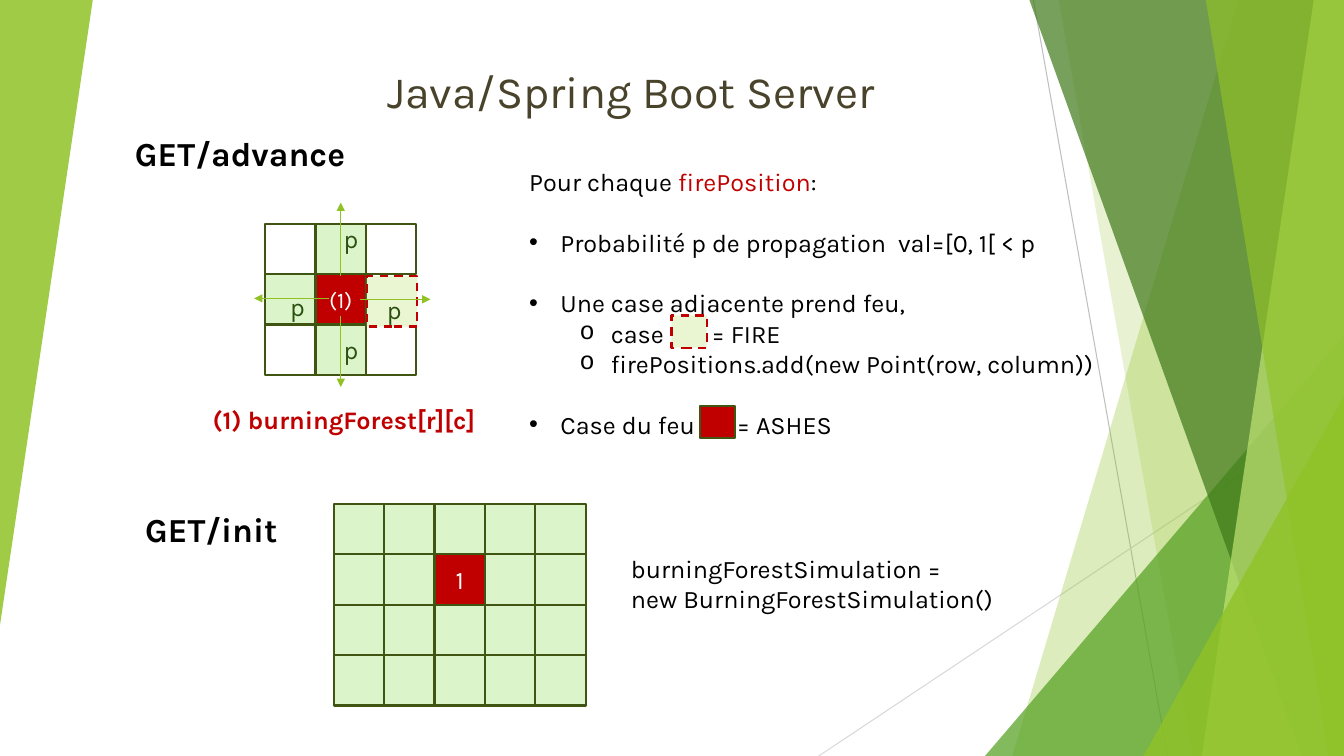
"""Build the slide about the forest fire server and its two GET routes."""
from dataclasses import dataclass

from lxml import etree
from pptx import Presentation
from pptx.dml.color import RGBColor
from pptx.enum.dml import MSO_LINE
from pptx.enum.shapes import MSO_CONNECTOR, MSO_SHAPE
from pptx.enum.text import MSO_ANCHOR, MSO_AUTO_SIZE, PP_ALIGN
from pptx.oxml.ns import qn
from pptx.util import Inches, Pt

RECTANGLE = MSO_SHAPE.RECTANGLE
TRIANGLE = MSO_SHAPE.ISOSCELES_TRIANGLE
STRAIGHT = MSO_CONNECTOR.STRAIGHT
DASH = MSO_LINE.DASH
TOP, MIDDLE = MSO_ANCHOR.TOP, MSO_ANCHOR.MIDDLE
LEFT, CENTER = PP_ALIGN.LEFT, PP_ALIGN.CENTER
NO_AUTOSIZE = MSO_AUTO_SIZE.NONE
WIDTH, HEIGHT = 13.33, 7.5
CELL = 0.5


@dataclass(frozen=True)
class Theme:
    font: str = "Karla"
    black: str = "000000"
    white: str = "FFFFFF"
    title: str = "48432A"
    fire: str = "C00000"
    tree: str = "DBF4CA"
    catching: str = "EAF6D1"
    outline: str = "3F5511"
    probability: str = "2A5010"
    lime: str = "90C226"
    leaf: str = "54A021"
    forest: str = "3F7819"
    pale: str = "C0E474"
    grey: str = "BFBFBF"
    light_grey: str = "D9D9D9"
    title_size: float = 32
    heading_size: float = 24
    body_size: float = 18
    centre_size: float = 16
    cell_line: float = 1.5


THEME = Theme()


@dataclass(frozen=True)
class Facet:
    points: tuple
    color: str
    opacity: int


@dataclass(frozen=True)
class Wedge:
    box: tuple
    color: str
    opacity: int
    rotation: int = 0


@dataclass(frozen=True)
class Line:
    start: tuple
    end: tuple
    color: str = THEME.lime
    width: float = 1
    arrow: bool = True


@dataclass(frozen=True)
class Item:
    spans: tuple
    bullet: str = ""
    indent: float = 0
    gap: float = 0
    tab: float = 0


def right_facet(top: float, bottom: float, color: str, opacity: int) -> Facet:
    """Return a facet that runs from a slanted edge to the right of the slide."""
    return Facet(((top, 0), (WIDTH, 0), (WIDTH, HEIGHT), (bottom, HEIGHT)), color, opacity)


EDGE_LINES = (
    Line((10.25, 0), (11.58, HEIGHT), THEME.grey, 0.75, False),
    Line((WIDTH, 4.03), (8.12, HEIGHT), THEME.light_grey, 0.75, False),
)
DECOR = (
    right_facet(12.28, 10.04, THEME.lime, 30),
    right_facet(10.5, 11.83, THEME.lime, 20),
    Wedge((9.77, 3.33, 3.56, 4.17), THEME.leaf, 72),
    right_facet(10.21, 12.91, THEME.forest, 70),
    right_facet(13.03, 11.92, THEME.pale, 70),
    right_facet(11.96, 13.18, THEME.lime, 65),
    Wedge((11.34, 3.93, 1.99, 3.57), THEME.lime, 80),
    Wedge((0, 0, 0.92, 6.2), THEME.lime, 85, 180),
)
SPREAD_ARROWS = (
    Line((3.38, 2.74), (3.38, 2.01)),
    Line((3.26, 2.96), (2.52, 2.96)),
    Line((3.38, 3.14), (3.38, 3.84)),
)
RIGHT_ARROW = Line((3.57, 2.97), (4.27, 2.97))
PROBABILITY_PLACES = ((3.31, 2.17), (3.31, 3.27), (2.78, 2.84), (3.74, 2.87))
BLANK_LINE = 21.8
RULES = (
    Item((("Pour chaque ", THEME.black), ("firePosition", THEME.fire), (":", THEME.black))),
    Item((("Probabilité p de propagation  val=[0, 1[ < p", THEME.black),), "•", 0.31, BLANK_LINE),
    Item((("Une case adjacente prend feu,", THEME.black),), "•", 0.31, BLANK_LINE),
    Item((("case\t= FIRE", THEME.black),), "o", 0.81, tab=1.81),
    Item((("firePositions.add(new Point(row, column))", THEME.black),), "o", 0.81),
    Item((("Case du feu\t= ASHES", THEME.black),), "•", 0.31, BLANK_LINE, 2.06),
)


def plain(text: str, color: str = THEME.black) -> Item:
    """Return a paragraph of one colour without a bullet."""
    return Item(((text, color),))


def paint(shape, color: str, opacity: int = 100) -> None:
    """Fill a shape with a colour of the given opacity and drop its shadow."""
    shape.shadow.inherit = False
    shape.fill.solid()
    shape.fill.fore_color.rgb = RGBColor.from_string(color)
    if opacity < 100:
        tint = shape.fill._xPr.find(qn("a:solidFill"))[0]
        etree.SubElement(tint, qn("a:alpha"), val=str(opacity * 1000))


def write(shape, items: tuple, *, size: float = THEME.body_size, bold: bool = False,
          align=LEFT, anchor=TOP) -> None:
    """Write formatted paragraphs into a shape."""
    frame = shape.text_frame
    frame.word_wrap = True
    frame.auto_size = NO_AUTOSIZE
    frame.vertical_anchor = anchor
    for index, item in enumerate(items):
        para = frame.add_paragraph() if index else frame.paragraphs[0]
        para.alignment = align
        para.space_before = Pt(item.gap)
        props = para._p.get_or_add_pPr()
        if item.bullet:
            props.set("marL", str(Inches(item.indent)))
            props.set("indent", str(Inches(-0.31)))
            face = "Courier New" if item.bullet == "o" else "Arial"
            etree.SubElement(props, qn("a:buFont"), typeface=face)
            etree.SubElement(props, qn("a:buChar"), char=item.bullet)
        if item.tab:
            tabs = etree.SubElement(props, qn("a:tabLst"))
            etree.SubElement(tabs, qn("a:tab"), pos=str(Inches(item.tab)), algn="l")
        for text, color in item.spans:
            span = para.add_run()
            span.text = text
            span.font.name = THEME.font
            span.font.size = Pt(size)
            span.font.bold = bold
            span.font.color.rgb = RGBColor.from_string(color)


def add_text(page, box: tuple, items: tuple, **style) -> None:
    """Add a text box."""
    write(page.shapes.add_textbox(*map(Inches, box)), items, **style)


def add_cell(page, left: float, top: float, color: str, *, size: tuple = (CELL, CELL),
             dashed: bool = False, label: str = "", label_size: float = THEME.body_size) -> None:
    """Add one outlined cell of the forest."""
    cell = page.shapes.add_shape(RECTANGLE, *map(Inches, (left, top, *size)))
    paint(cell, color)
    cell.line.color.rgb = RGBColor.from_string(THEME.fire if dashed else THEME.outline)
    cell.line.width = Pt(THEME.cell_line)
    if dashed:
        cell.line.dash_style = DASH
    if label:
        write(cell, (plain(label, THEME.white),), size=label_size, align=CENTER, anchor=MIDDLE)


def add_line(page, line: Line) -> None:
    """Add a straight line, with an arrowhead at its end if asked."""
    connector = page.shapes.add_connector(STRAIGHT, *map(Inches, line.start + line.end))
    connector.line.color.rgb = RGBColor.from_string(line.color)
    connector.line.width = Pt(line.width)
    if line.arrow:
        etree.SubElement(connector.line._get_or_add_ln(), qn("a:tailEnd"), type="triangle")
    etree.SubElement(connector._element.spPr, qn("a:effectLst"))


def add_decor(page, part: Facet | Wedge) -> None:
    """Add one translucent part of the green border."""
    if isinstance(part, Facet):
        points = [tuple(map(Inches, point)) for point in part.points]
        builder = page.shapes.build_freeform(*points[0])
        builder.add_line_segments(points[1:], close=True)
        shape = builder.convert_to_shape()
    else:
        shape = page.shapes.add_shape(TRIANGLE, *map(Inches, part.box))
        shape.adjustments[0] = 1
        shape.rotation = part.rotation
    paint(shape, part.color, part.opacity)
    shape.line.fill.background()


def add_title(page, text: str) -> None:
    """Place and format the title."""
    title = page.shapes.title
    title.left, title.top, title.width, title.height = map(Inches, (1.26, 0.58, 10, 0.6))
    write(title, (plain(text, THEME.title),), size=THEME.title_size, align=CENTER)
    title.text_frame.margin_top = Inches(0.05)


def add_advance(page) -> None:
    """Draw the spread of the fire to the adjacent cells."""
    add_text(page, (1.24, 1.27, 10.85, 2.46), (plain("GET/advance"),),
             size=THEME.heading_size, bold=True)
    for row in range(3):
        for column in range(3):
            left, top = 2.63 + column * CELL, 2.22 + row * CELL
            if (row, column) == (1, 1):
                add_cell(page, left, top, THEME.fire, label="(1)", label_size=THEME.centre_size)
            elif (row, column) != (1, 2):
                add_cell(page, left, top, THEME.tree if (row + column) % 2 else THEME.white)
    for arrow in SPREAD_ARROWS:
        add_line(page, arrow)
    add_cell(page, 3.64, 2.74, THEME.catching, dashed=True)
    add_line(page, RIGHT_ARROW)
    for place in PROBABILITY_PLACES:
        add_text(page, (*place, 0.27, 0.4), (plain("p", THEME.probability),))
    add_text(page, (5.15, 1.6, 6.4, 3.13), RULES)
    add_cell(page, 6.94, 4.03, THEME.fire, size=(0.35, 0.32))
    add_cell(page, 6.66, 3.13, THEME.catching, size=(0.35, 0.32), dashed=True)
    add_text(page, (2.01, 3.96, 3.01, 0.4), (plain("(1) burningForest[r][c]", THEME.fire),),
             bold=True)


def add_init(page) -> None:
    """Draw the first state of the forest."""
    add_text(page, (1.34, 5, 10.85, 2.46), (plain("GET/init"),),
             size=THEME.heading_size, bold=True)
    for row in range(4):
        for column in range(5):
            burning = (row, column) == (1, 2)
            add_cell(page, 3.31 + column * CELL, 5 + row * CELL,
                     THEME.fire if burning else THEME.tree, label="1" if burning else "")
    add_text(page, (6.16, 5.44, 5.03, 1.01),
             (plain("burningForestSimulation ="), plain("new BurningForestSimulation()")))


def main() -> None:
    """Build and save the deck."""
    deck = Presentation()
    deck.slide_width, deck.slide_height = Inches(WIDTH), Inches(HEIGHT)
    page = deck.slides.add_slide(deck.slide_layouts[5])
    for line in EDGE_LINES:
        add_line(page, line)
    for part in DECOR:
        add_decor(page, part)
    add_title(page, "Java/Spring Boot Server")
    add_advance(page)
    add_init(page)
    deck.save("out.pptx")


if __name__ == "__main__":
    main()
